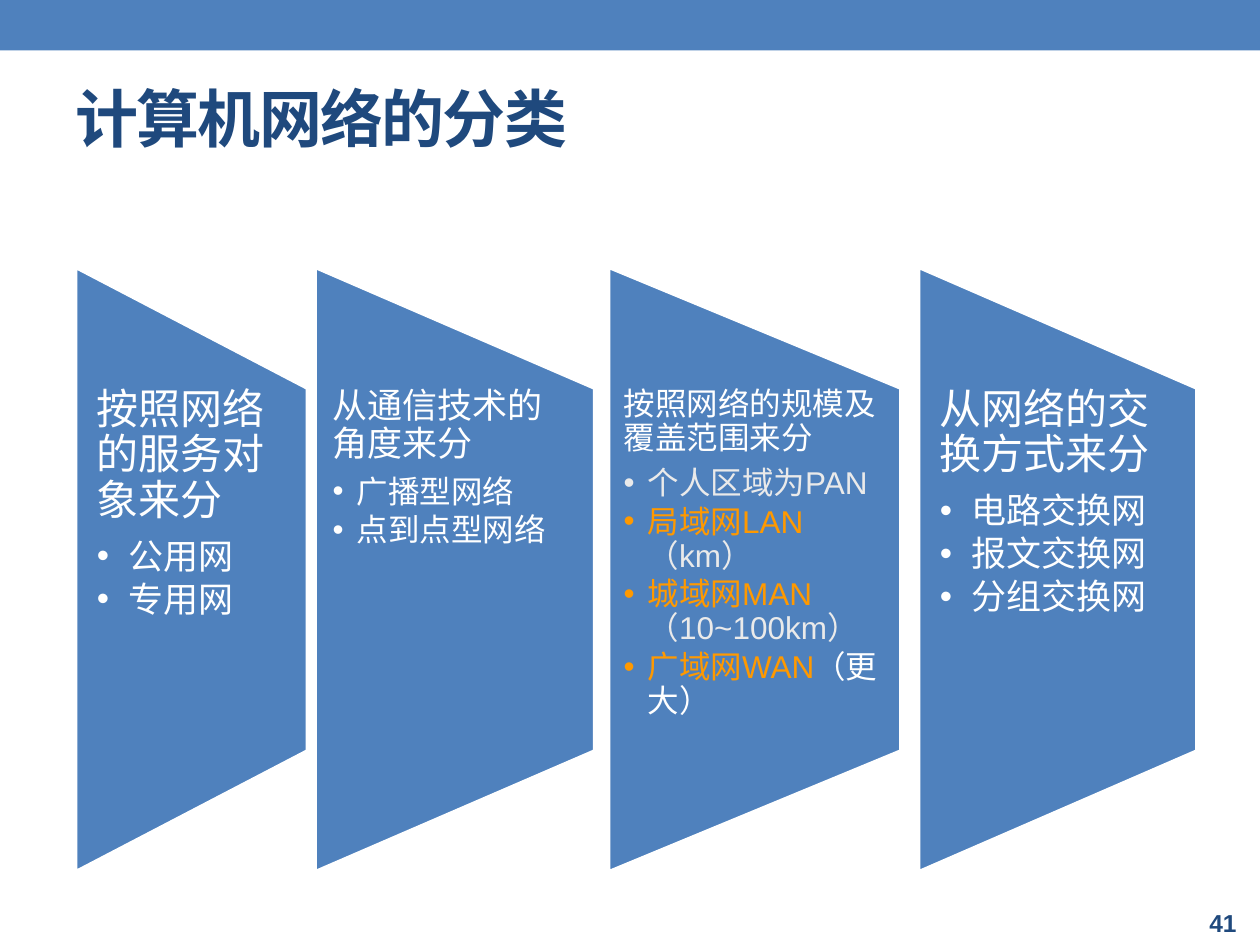
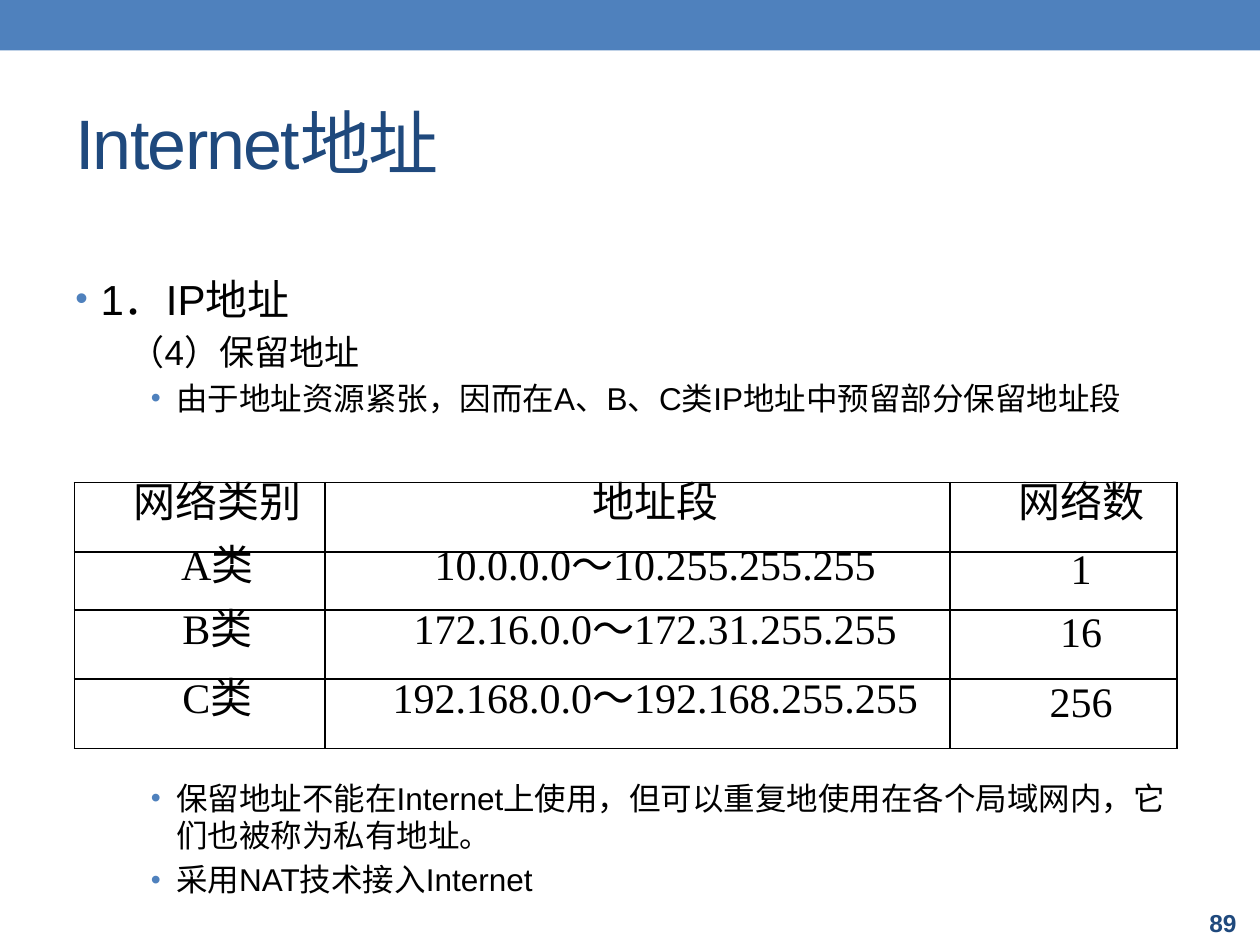
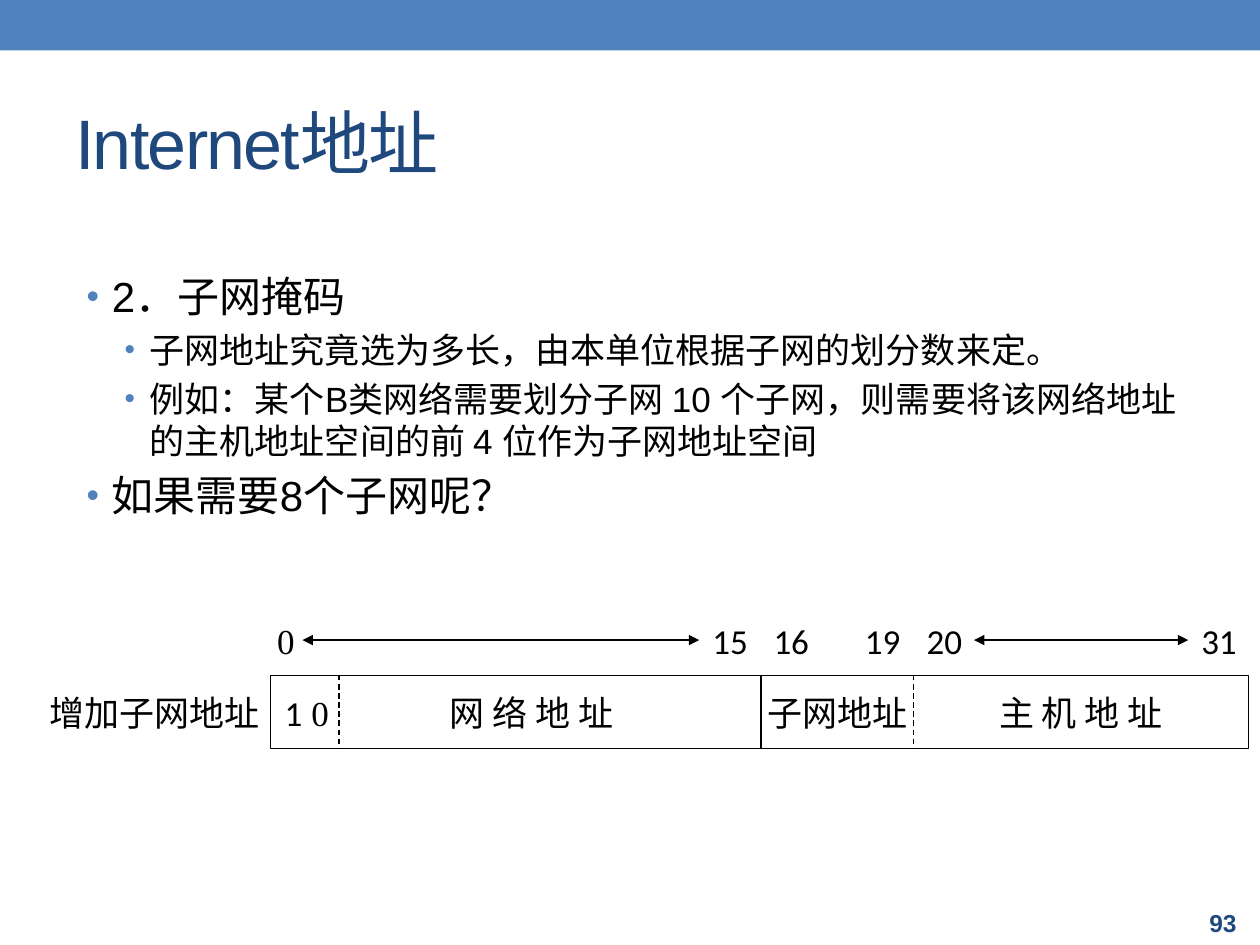
import dataclasses

import pptx
import pptx.dml.color
import pptx.enum.dml
import pptx.enum.shapes
import pptx.enum.text
import pptx.oxml.ns
import pptx.util
from lxml import etree

Inches = pptx.util.Inches
Pt = pptx.util.Pt
RGBColor = pptx.dml.color.RGBColor
qn = pptx.oxml.ns.qn
ALIGN = pptx.enum.text.PP_ALIGN
ANCHOR = pptx.enum.text.MSO_ANCHOR
SHAPE = pptx.enum.shapes.MSO_SHAPE

BLUE = RGBColor(0x4F, 0x81, 0xBD)
NAVY = RGBColor(0x1F, 0x49, 0x7D)
WHITE = RGBColor(0xFF, 0xFF, 0xFF)
BLACK = RGBColor(0, 0, 0)
ORANGE = RGBColor(0xFF, 0x99, 0)
PALE = RGBColor(0xEA, 0xEA, 0xEA)

SANS = "Arial"
LABEL = "Calibri"
SERIF = "Times New Roman"
CJK = "Noto Sans CJK SC"


@dataclasses.dataclass
class Style:
    size: int
    colour: RGBColor = BLACK
    font: str = SANS
    bold: bool = False
    align: ALIGN = None
    margin: float = 0
    indent: float = 0
    bullet: int = 0
    bullet_colour: RGBColor = None
    before: float = 0
    after: float = 0
    line: object = None
    tracking: int = 0


def outline_style(size, margin, bullet=85):
    return Style(size, margin=margin, indent=-0.2 if bullet else 0, bullet=bullet,
                 bullet_colour=BLUE, before=0.2)


TITLE = Style(40, NAVY, tracking=-100)
BOLD_TITLE = Style(36, NAVY, CJK, bold=True, tracking=-100)
NUMBER = Style(14, NAVY, bold=True)
TOPIC = outline_style(24, 0.2)
POINT = outline_style(20, 0.5)
PLAIN_POINT = outline_style(20, 0.43, bullet=0)
DETAIL = outline_style(18, 0.8, bullet=90)
CELL = Style(24, font=SERIF, align=ALIGN.CENTER, indent=0.28, line=Pt(14))
BIT = Style(20, font=LABEL, align=ALIGN.CENTER)
SERIF_BIT = dataclasses.replace(BIT, font=SERIF)


def add_bullet(properties, style):
    if style.bullet_colour is not None:
        colour = etree.SubElement(properties, qn("a:buClr"))
        etree.SubElement(colour, qn("a:srgbClr"), val=str(style.bullet_colour))
    etree.SubElement(properties, qn("a:buSzPct"), val=str(style.bullet * 1000))
    etree.SubElement(properties, qn("a:buFont"), typeface=SANS)
    etree.SubElement(properties, qn("a:buChar"), char="•")


def write_paragraph(para, content, style, first=True):
    properties = para._p.get_or_add_pPr()
    properties.set("marL", str(Inches(style.margin)))
    properties.set("indent", str(Inches(style.indent)))
    if style.bullet:
        add_bullet(properties, style)
    if style.before and not first:
        para.space_before = Pt(style.size * style.before)
    if style.after:
        para.space_after = Pt(style.size * style.after)
    if style.line:
        para.line_spacing = style.line
    if style.align is not None:
        para.alignment = style.align
    para.font.size = Pt(style.size)
    para.font.name = style.font
    para.font.bold = style.bold
    if isinstance(content, str):
        para.font.color.rgb = style.colour
        content = [(content, None)]
    for text, colour in content:
        span = para.add_run()
        span.text = text
        if colour is not None:
            span.font.color.rgb = colour
        if style.tracking:
            span._r.get_or_add_rPr().set("spc", str(style.tracking))


def add_text(page, box, paragraphs, anchor=ANCHOR.TOP, insets=(0.1, 0.05)):
    frame = page.shapes.add_textbox(*map(Inches, box)).text_frame
    frame.word_wrap = True
    frame.vertical_anchor = anchor
    frame.margin_left = frame.margin_right = Inches(insets[0])
    frame.margin_top = frame.margin_bottom = Inches(insets[1])
    for index, (content, style) in enumerate(paragraphs):
        para = frame.add_paragraph() if index else frame.paragraphs[0]
        write_paragraph(para, content, style, first=index == 0)


def add_block(page, kind, box, fill, line=None, width=0.75):
    block = page.shapes.add_shape(kind, *map(Inches, box))
    block.shadow.inherit = False
    block.fill.solid()
    block.fill.fore_color.rgb = fill
    if line is None:
        block.line.fill.background()
    else:
        block.line.color.rgb = line
        block.line.width = Pt(width)
    return block


def add_line(page, start, end, dashed=False, arrows=False):
    line = page.shapes.add_connector(pptx.enum.shapes.MSO_CONNECTOR.STRAIGHT,
                                     *map(Inches, start + end))
    line.line.color.rgb = BLACK
    line.line.width = Pt(0.75)
    if dashed:
        line.line.dash_style = pptx.enum.dml.MSO_LINE.DASH
    properties = line._element.spPr
    if arrows:
        for tag in ("a:headEnd", "a:tailEnd"):
            etree.SubElement(properties.get_or_add_ln(), qn(tag), type="triangle")
    etree.SubElement(properties, qn("a:effectLst"))


def add_page(deck, title, number, title_style=TITLE, title_height=1.08, anchor=ANCHOR.MIDDLE):
    page = deck.slides.add_slide(deck.slide_layouts[6])
    add_block(page, SHAPE.RECTANGLE, (0, 0, 10, 0.4), BLUE)
    add_text(page, (0.5, 0.58, 9, title_height), [(title, title_style)], anchor)
    add_text(page, (9.5, 7.14, 0.5, 0.36), [(str(number), NUMBER)], ANCHOR.MIDDLE)
    return page


def add_category(page, box, heading, members, sizes, inset, hang):
    left, top, width, height = box
    panel = add_block(page, SHAPE.FLOWCHART_MANUAL_OPERATION,
                      (left + (width - height) / 2, top + (height - width) / 2, height, width),
                      BLUE, WHITE, 2.08)
    panel.rotation = 270
    heading_style = Style(sizes[0], WHITE, after=0.35, line=0.9)
    member_style = Style(sizes[1], WHITE, margin=hang, indent=-hang, bullet=100,
                         after=0.15, line=0.9)
    add_text(page, (left, top + height * 0.2, width, height * 0.6),
             [(heading, heading_style)] + [(member, member_style) for member in members],
             insets=(inset, 0))


def add_categories_page(deck):
    page = add_page(deck, "计算机网络的分类", 41, BOLD_TITLE, 0.67, ANCHOR.TOP)
    scales = [
        [("个人区域为PAN", PALE)],
        [("局域网LAN", ORANGE), ("（km）", PALE)],
        [("城域网MAN", ORANGE), ("（10~100km）", PALE)],
        [("广域网WAN", ORANGE), ("（更大）", WHITE)],
    ]
    categories = [
        (0.6, 1.84, "按照网络的服务对象来分", ["公用网", "专用网"], (24, 20), 0.17, 0.25),
        (2.5, 2.22, "从通信技术的角度来分", ["广播型网络", "点到点型网络"], (20, 18), 0.14, 0.19),
        (4.83, 2.32, "按照网络的规模及覆盖范围来分", scales, (18, 18), 0.12, 0.19),
        (7.29, 2.21, "从网络的交换方式来分", ["电路交换网", "报文交换网", "分组交换网"],
         (24, 20), 0.17, 0.25),
    ]
    for left, width, *details in categories:
        add_category(page, (left, 2.12, width, 4.8), *details)


def add_border(cell):
    properties = cell._tc.get_or_add_tcPr()
    for side in ("L", "R", "T", "B"):
        line = etree.SubElement(properties, qn("a:ln" + side), w=str(Pt(1)))
        fill = etree.SubElement(line, qn("a:solidFill"))
        etree.SubElement(fill, qn("a:srgbClr"), val=str(BLACK))


def add_address_table(page, left, top, widths, heights, rows):
    table = page.shapes.add_table(len(rows), len(widths), Inches(left), Inches(top),
                                  Inches(sum(widths)), Inches(sum(heights))).table
    table.first_row = table.horz_banding = False
    for column, width in zip(table.columns, widths):
        column.width = Inches(width)
    for row, height, texts in zip(table.rows, heights, rows):
        row.height = Inches(height)
        for cell, text in zip(row.cells, texts):
            add_border(cell)
            cell.fill.background()
            cell.vertical_anchor = ANCHOR.MIDDLE
            cell.margin_left = cell.margin_right = Inches(0.07)
            cell.margin_top = cell.margin_bottom = 0
            write_paragraph(cell.text_frame.paragraphs[0], text, CELL)


def add_reserved_page(deck):
    page = add_page(deck, "Internet地址", 89)
    add_text(page, (0.5, 2.12, 9, 1.5), [
        ("1．IP地址", TOPIC),
        ("（4）保留地址", PLAIN_POINT),
        ("由于地址资源紧张，因而在A、B、C类IP地址中预留部分保留地址段", DETAIL),
    ])
    add_address_table(page, 0.59, 3.83, (1.99, 4.96, 1.8), (0.55, 0.46, 0.55, 0.55), [
        ("网络类别", "地址段", "网络数"),
        ("A类", "10.0.0.0～10.255.255.255", "1"),
        ("B类", "172.16.0.0～172.31.255.255", "16"),
        ("C类", "192.168.0.0～192.168.255.255", "256"),
    ])
    add_text(page, (0.5, 6.13, 9, 1.1), [
        ("保留地址不能在Internet上使用，但可以重复地使用在各个局域网内，它们也被称为私有地址。", DETAIL),
        ("采用NAT技术接入Internet", DETAIL),
    ])


def add_address_layout(page, left, top, width, height):
    add_block(page, SHAPE.RECTANGLE, (left, top, width, height), WHITE, BLACK)
    for offset, dashed in ((0.54, True), (3.89, False), (5.1, True)):
        add_line(page, (left + offset, top), (left + offset, top + height), dashed)
    for start, end in ((0.25, 3.4), (5.58, 7.28)):
        add_line(page, (left + start, top - 0.28), (left + end, top - 0.28), arrows=True)
    bits = [(0, 0.24, "0", SERIF_BIT), (3.4, 0.49, "15", BIT), (3.89, 0.48, "16", BIT),
            (4.61, 0.49, "19", BIT), (5.1, 0.49, "20", BIT), (7.28, 0.49, "31", BIT)]
    fields = [(-1.77, 1.7, "增加子网地址", BIT), (0.03, 0.3, "1", BIT),
              (0.27, 0.24, "0", SERIF_BIT), (1.22, 1.7, "网 络 地 址", BIT),
              (3.89, 1.21, "子网地址", BIT), (5.58, 1.7, "主 机 地 址", BIT)]
    for drop, labels in ((-0.44, bits), (0.13, fields)):
        for offset, label_width, text, style in labels:
            add_text(page, (left + offset, top + drop, label_width, height),
                     [(text, style)], insets=(0, 0))


def add_subnet_page(deck):
    page = add_page(deck, "Internet地址", 93)
    add_text(page, (0.59, 2.1, 9, 4.8), [
        ("2．子网掩码", TOPIC),
        ("子网地址究竟选为多长，由本单位根据子网的划分数来定。", POINT),
        ("例如：某个B类网络需要划分子网 10 个子网，则需要将该网络地址的主机地址空间的前 4 位作为子网地址空间", POINT),
        ("如果需要8个子网呢？", TOPIC),
    ])
    add_address_layout(page, 2.15, 5.36, 7.76, 0.58)


def main():
    deck = pptx.Presentation()
    deck.slide_width = Inches(10)
    deck.slide_height = Inches(7.5)
    add_categories_page(deck)
    add_reserved_page(deck)
    add_subnet_page(deck)
    deck.save("out.pptx")


if __name__ == "__main__":
    main()
